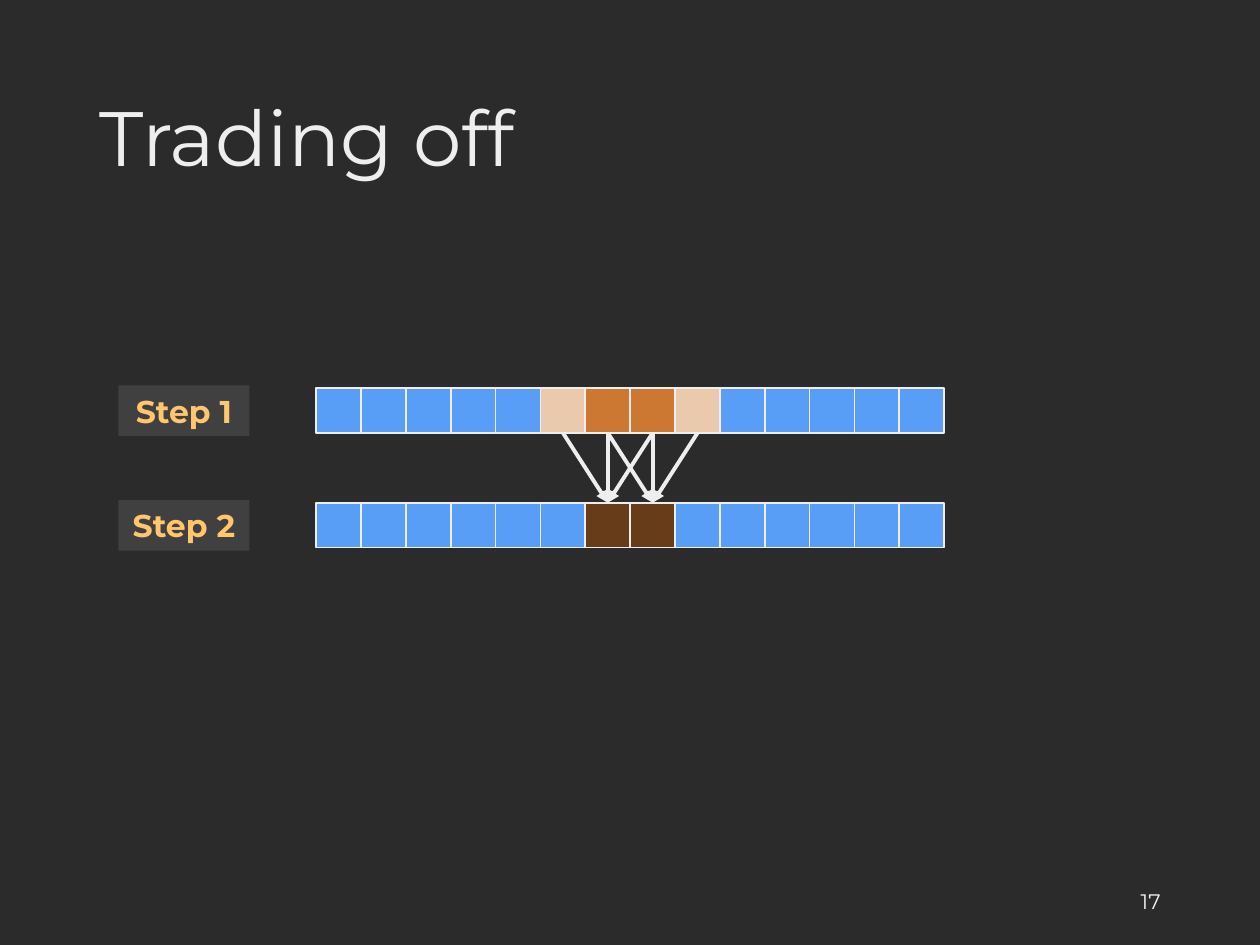
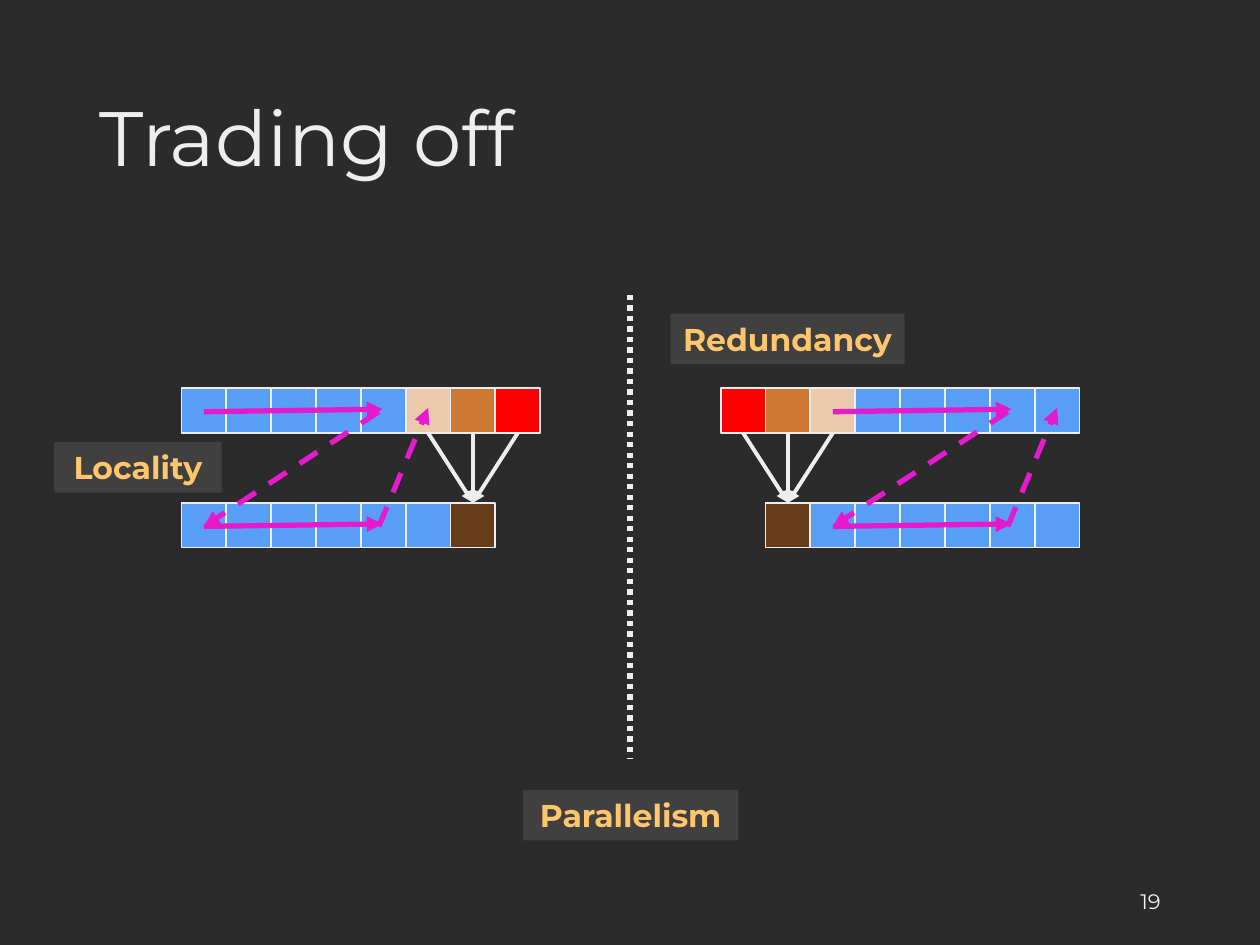
from collections import namedtuple

from lxml import etree
from pptx import Presentation
from pptx.dml.color import RGBColor
from pptx.enum.dml import MSO_LINE
from pptx.enum.shapes import MSO_CONNECTOR, MSO_SHAPE
from pptx.enum.text import MSO_ANCHOR, PP_ALIGN
from pptx.oxml.ns import qn
from pptx.util import Inches, Pt

Box = namedtuple("Box", "left top width height")

WIDTH, HEIGHT = 10, 7.5
FONT = "Montserrat"
BACKGROUND, LIGHT, NUMBER = "2B2B2B", "EEEEEE", "F2F2F2"
LABEL_FILL, LABEL_TEXT, SWEEP = "404040", "FFC66D", "E41ACC"
# b: plain cell, l: halo, o: source, d: result, r: redundant
CELL_FILLS = {"b": "589DF6", "l": "EBC9AD", "o": "CC7832",
              "d": "663C19", "r": "FF0000"}

COLUMN = 0.356     # width and height of a cell
ROW_PITCH = 0.91   # distance between the tops of the two steps
GRID_TOP = 3.08
TITLE_BOX = Box(0.69, 0.4, 8.62, 1.45)
NUMBER_BOX = Box(7.06, 6.95, 2.25, 0.4)


def rgb(hex_color):
    return RGBColor.from_string(hex_color)


def inches(*values):
    return [Inches(v) for v in values]


def write(sp, text, size, color, align, bold=False):
    tf = sp.text_frame
    tf.text = text
    tf.vertical_anchor = MSO_ANCHOR.MIDDLE
    p = tf.paragraphs[0]
    p.alignment = align
    font = p.runs[0].font
    font.name, font.size, font.bold = FONT, Pt(size), bold
    font.color.rgb = rgb(color)
    return tf


def add_text(s, box, text, size, color, align):
    tf = write(s.shapes.add_textbox(*inches(*box)), text, size, color, align)
    tf.word_wrap = True
    return tf


def add_rect(s, box, fill, outline=None):
    sp = s.shapes.add_shape(MSO_SHAPE.RECTANGLE, *inches(*box))
    sp.shadow.inherit = False
    sp.fill.solid()
    sp.fill.fore_color.rgb = rgb(fill)
    if outline:
        sp.line.color.rgb = rgb(outline)
        sp.line.width = Pt(1)
    else:
        sp.line.fill.background()
    return sp


def add_line(s, start, end, color, width, dash=None, arrow=True):
    line = s.shapes.add_connector(MSO_CONNECTOR.STRAIGHT, *inches(*start, *end))
    line.line.color.rgb = rgb(color)
    line.line.width = Pt(width)
    if dash:
        line.line.dash_style = dash
    sp_pr = line._element.spPr
    if arrow:
        etree.SubElement(sp_pr.find(qn("a:ln")), qn("a:tailEnd"), type="triangle")
    etree.SubElement(sp_pr, qn("a:effectLst"))


def add_label(s, box, text):
    sp = add_rect(s, box, LABEL_FILL)
    write(sp, text, 18, LABEL_TEXT, PP_ALIGN.CENTER, bold=True).word_wrap = False


def center(box, column):
    """Horizontal middle of a grid column."""
    return box.left + (column + 0.5) * COLUMN


def grid_box(left, columns):
    return Box(left, GRID_TOP, columns * COLUMN, ROW_PITCH + COLUMN)


def add_cells(s, box, row, pattern, first=0):
    """One step: a strip of cells, coloured by the letters of the pattern."""
    for column, kind in enumerate(pattern, first):
        cell = Box(box.left + column * COLUMN, box.top + row * ROW_PITCH,
                   COLUMN, COLUMN)
        add_rect(s, cell, CELL_FILLS[kind], LIGHT)


def add_stencil(s, box, target):
    """Three neighbours of the first step feed one cell of the second."""
    for source in (target - 1, target, target + 1):
        add_line(s, (center(box, source), box.top + COLUMN),
                 (center(box, target), box.top + ROW_PITCH), LIGHT, 2.25)


def add_sweep(s, box, first):
    """Order of computation: along step 1, back, along step 2, up again."""
    start, end, after = (center(box, first + n) for n in (0, 3.9, 5))
    upper = box.top + COLUMN / 2 + 0.01
    lower = upper + ROW_PITCH
    for y in (upper, lower):
        add_line(s, (start, y), (end + 0.03, y - 0.02), SWEEP, 3)
    add_line(s, (end, upper), (start, lower), SWEEP, 3, MSO_LINE.DASH)
    add_line(s, (end, lower), (after, upper - 0.03), SWEEP, 3, MSO_LINE.DASH)


def add_base_slide(prs, number):
    s = prs.slides.add_slide(prs.slide_layouts[6])
    s.background.fill.solid()
    s.background.fill.fore_color.rgb = rgb(BACKGROUND)
    tf = add_text(s, TITLE_BOX, "Trading off", 44, LIGHT, PP_ALIGN.LEFT)
    tf.paragraphs[0].line_spacing = 0.9
    add_text(s, NUMBER_BOX, str(number), 12, NUMBER, PP_ALIGN.RIGHT)
    return s


def add_steps_slide(prs):
    s = add_base_slide(prs, 17)
    box = grid_box(2.51, 14)
    for row, pattern in enumerate(("bbbbbloolbbbbb", "bbbbbbddbbbbbb")):
        add_cells(s, box, row, pattern)
        label = Box(0.94, box.top - 0.02 + row * ROW_PITCH, 1.04, 0.4)
        add_label(s, label, f"Step {row + 1}")
    for target in (6, 7):
        add_stencil(s, box, target)


def add_half(s, box, upper, lower, lower_first, target, sweep_first):
    """One worker's share of the two steps."""
    add_cells(s, box, 0, upper)
    add_cells(s, box, 1, lower, lower_first)
    add_stencil(s, box, target)
    add_sweep(s, box, sweep_first)


def add_split_slide(prs):
    s = add_base_slide(prs, 19)
    middle = WIDTH / 2
    add_half(s, grid_box(1.44, 8), "bbbbblor", "bbbbbbd", 0, 6, 0)
    add_half(s, grid_box(5.72, 8), "rolbbbbb", "dbbbbbb", 1, 1, 2)
    # Divider between the workers
    add_line(s, (middle, 2.34), (middle, 6.02), LIGHT, 3,
             MSO_LINE.ROUND_DOT, arrow=False)
    # The three competing aims
    add_label(s, Box(4.15, 6.27, 1.71, 0.4), "Parallelism")
    add_label(s, Box(0.43, 3.51, 1.33, 0.4), "Locality")
    add_label(s, Box(5.32, 2.49, 1.86, 0.4), "Redundancy")


def main():
    prs = Presentation()
    prs.slide_width, prs.slide_height = inches(WIDTH, HEIGHT)
    add_steps_slide(prs)
    add_split_slide(prs)
    prs.save("out.pptx")


if __name__ == "__main__":
    main()
